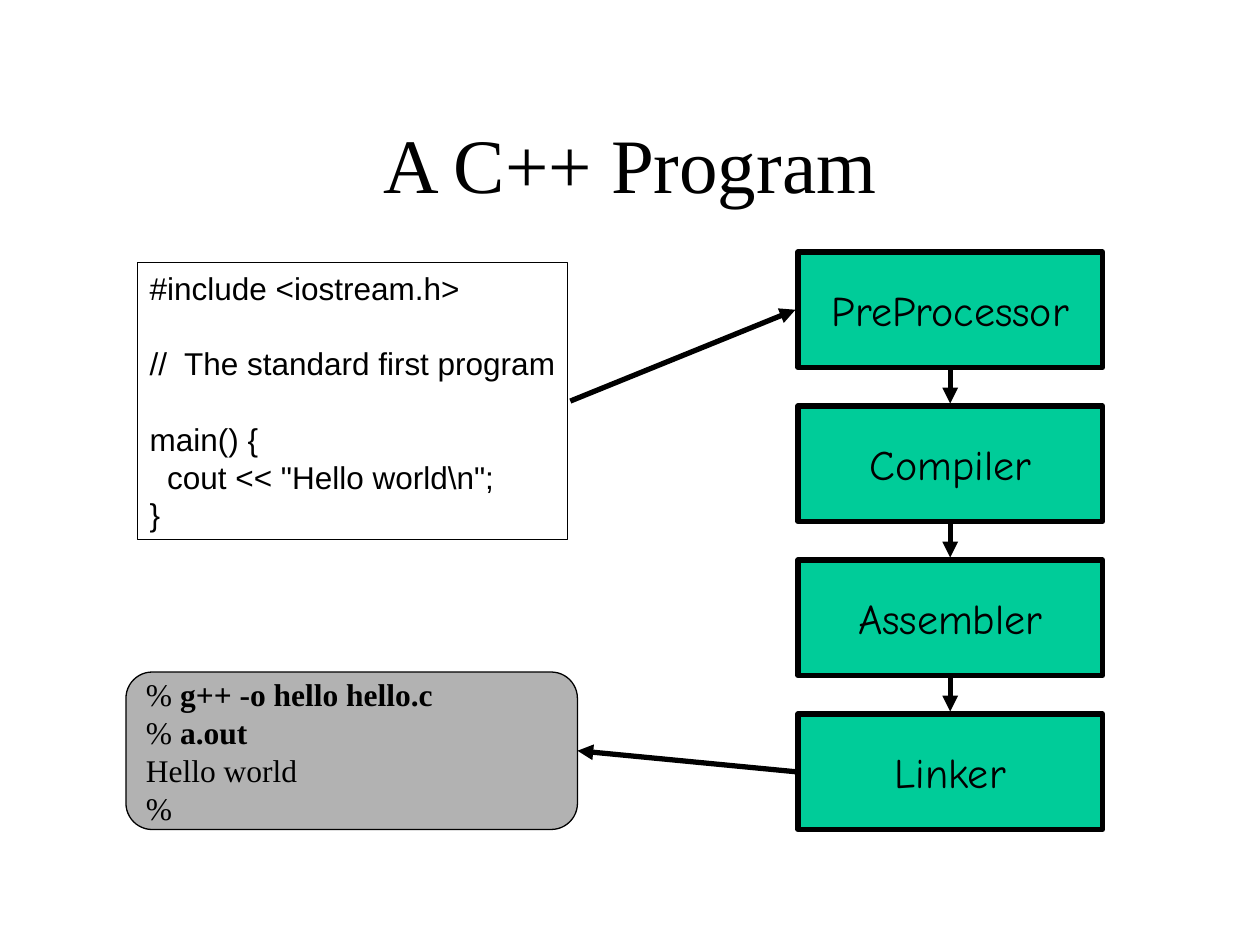
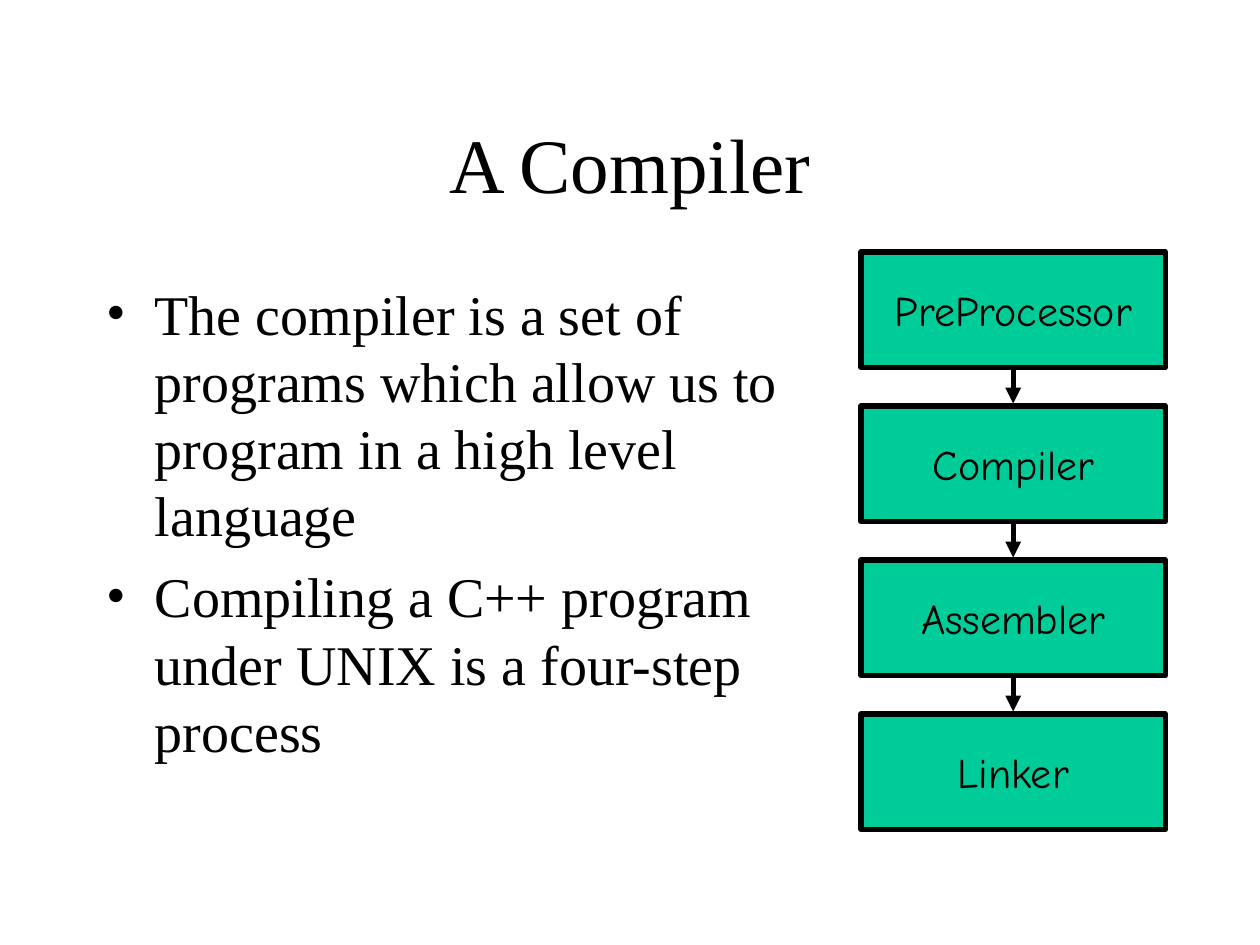
from lxml import etree
from pptx import Presentation
from pptx import util as u
from pptx.dml.color import RGBColor
from pptx.enum import shapes, text
from pptx.oxml import ns

BLACK = RGBColor(0x00, 0x00, 0x00)
GREEN = RGBColor(0x00, 0xCC, 0x99)
GREY = RGBColor(0xB2, 0xB2, 0xB2)
SERIF, SANS, COMIC = "Times New Roman", "Arial", "Comic Neue"
LEADING = 1.2

prs = Presentation()
prs.slide_width, prs.slide_height = u.Inches(10), u.Inches(7.5)
G = prs.slide_width // 120

STAGES = ["PreProcessor", "Compiler", "Assembler", "Linker"]
STAGE_W, STAGE_H, STAGE_TOP = 29 * G, 11 * G, 24 * G
STAGE_STEP = 44 * G // 3
GAP = u.Inches(0.02)


def add_run(p, words, size, font, bold=False):
    r = p.add_run()
    r.text = words
    r.font.size, r.font.name, r.font.bold = u.Pt(size), font, bold
    r.font.color.rgb = BLACK


def add_arrow(s, x1, y1, x2, y2):
    line = s.shapes.add_connector(shapes.MSO_CONNECTOR.STRAIGHT, x1, y1, x2, y2)
    line.line.color.rgb, line.line.width = BLACK, u.Pt(3)
    etree.SubElement(line.line._get_or_add_ln(), ns.qn("a:tailEnd"), type="triangle")
    etree.SubElement(line._element.spPr, ns.qn("a:effectLst"))


slides = []
for heading, stage_col in [("A C++ Program", 76), ("A Compiler", 82)]:
    s = prs.slides.add_slide(prs.slide_layouts[5])
    slides.append(s)
    title = s.shapes.title
    title.left, title.top, title.width, title.height = 9 * G, 8 * G, 102 * G, 15 * G
    title.text_frame.vertical_anchor = text.MSO_ANCHOR.MIDDLE
    p = title.text_frame.paragraphs[0]
    p.alignment = text.PP_ALIGN.CENTER
    add_run(p, heading, 44, SERIF)

    left = stage_col * G
    middle = left + STAGE_W // 2
    for i, stage in enumerate(STAGES):
        top = STAGE_TOP + i * STAGE_STEP
        sp = s.shapes.add_shape(shapes.MSO_SHAPE.FLOWCHART_PROCESS, left, top, STAGE_W, STAGE_H)
        sp.shadow.inherit = False
        sp.fill.solid()
        sp.fill.fore_color.rgb = GREEN
        sp.line.color.rgb, sp.line.width = BLACK, u.Pt(3)
        tf = sp.text_frame
        tf.word_wrap, tf.vertical_anchor = False, text.MSO_ANCHOR.MIDDLE
        p = tf.paragraphs[0]
        p.alignment = text.PP_ALIGN.CENTER
        add_run(p, stage, 24, COMIC)
        if i:
            add_arrow(s, middle, top - STAGE_STEP + STAGE_H + GAP, middle, top - GAP)

program, compiler = slides

CODE = [
    ("#include <iostream.h>", 0, 0),
    ("//  The standard first program", 1, 0),
    ("main() {", 1, 0),
    ('cout << "Hello world\\n";', 0, 10),
    ("}", 0, 0),
]
code = program.shapes.add_textbox(u.Inches(1.09), 25 * G, 41 * G, u.Inches(2.2))
code.line.color.rgb, code.line.width = BLACK, u.Pt(0.75)
tf = code.text_frame
tf.word_wrap = False
for i, (words, skipped_lines, indent) in enumerate(CODE):
    p = tf.add_paragraph() if i else tf.paragraphs[0]
    p.line_spacing = u.Pt(18 * LEADING)
    p.space_before = u.Pt(18 * LEADING * skipped_lines)
    p._p.get_or_add_pPr().set("marL", str(u.Pt(indent)))
    add_run(p, words, 18, SANS)

SESSION = [("% ", "g++ -o hello hello.c"), ("% ", "a.out"), ("Hello world", ""), ("%", "")]
terminal = program.shapes.add_shape(
    shapes.MSO_SHAPE.ROUNDED_RECTANGLE, 12 * G, 64 * G, 43 * G, 15 * G)
terminal.shadow.inherit = False
terminal.fill.solid()
terminal.fill.fore_color.rgb = GREY
terminal.line.color.rgb, terminal.line.width = BLACK, u.Pt(0.75)
tf = terminal.text_frame
tf.word_wrap, tf.vertical_anchor = True, text.MSO_ANCHOR.MIDDLE
for i, (output, command) in enumerate(SESSION):
    p = tf.add_paragraph() if i else tf.paragraphs[0]
    p.alignment = text.PP_ALIGN.LEFT
    p.line_spacing = u.Pt(18 * LEADING)
    add_run(p, output, 18, SERIF)
    if command:
        add_run(p, command, 18, SERIF, True)

stage_edge = 76 * G - GAP
linker_middle = STAGE_TOP + 3 * STAGE_STEP + STAGE_H // 2
add_arrow(program, code.left + code.width + GAP, code.top + code.height // 2,
          stage_edge, STAGE_TOP + STAGE_H // 2)
add_arrow(program, stage_edge, linker_middle,
          terminal.left + terminal.width, terminal.top + terminal.height // 2)

POINTS = [
    "The compiler is a set of programs which allow us to program in a high level language",
    "Compiling a C++ program under UNIX is a four-step process",
]
body = compiler.shapes.add_textbox(9 * G, 26 * G, 68 * G, 54 * G)
tf = body.text_frame
tf.word_wrap = True
for i, point in enumerate(POINTS):
    p = tf.add_paragraph() if i else tf.paragraphs[0]
    p.space_before, p.line_spacing = u.Pt(8), u.Pt(32 * LEADING)
    pPr = p._p.get_or_add_pPr()
    pPr.set("marL", str(u.Inches(0.38)))
    pPr.set("indent", str(u.Inches(-0.38)))
    etree.SubElement(pPr, ns.qn("a:buFont"), typeface=SERIF)
    etree.SubElement(pPr, ns.qn("a:buChar"), char="•")
    add_run(p, point, 32, SERIF)

prs.save("out.pptx")
